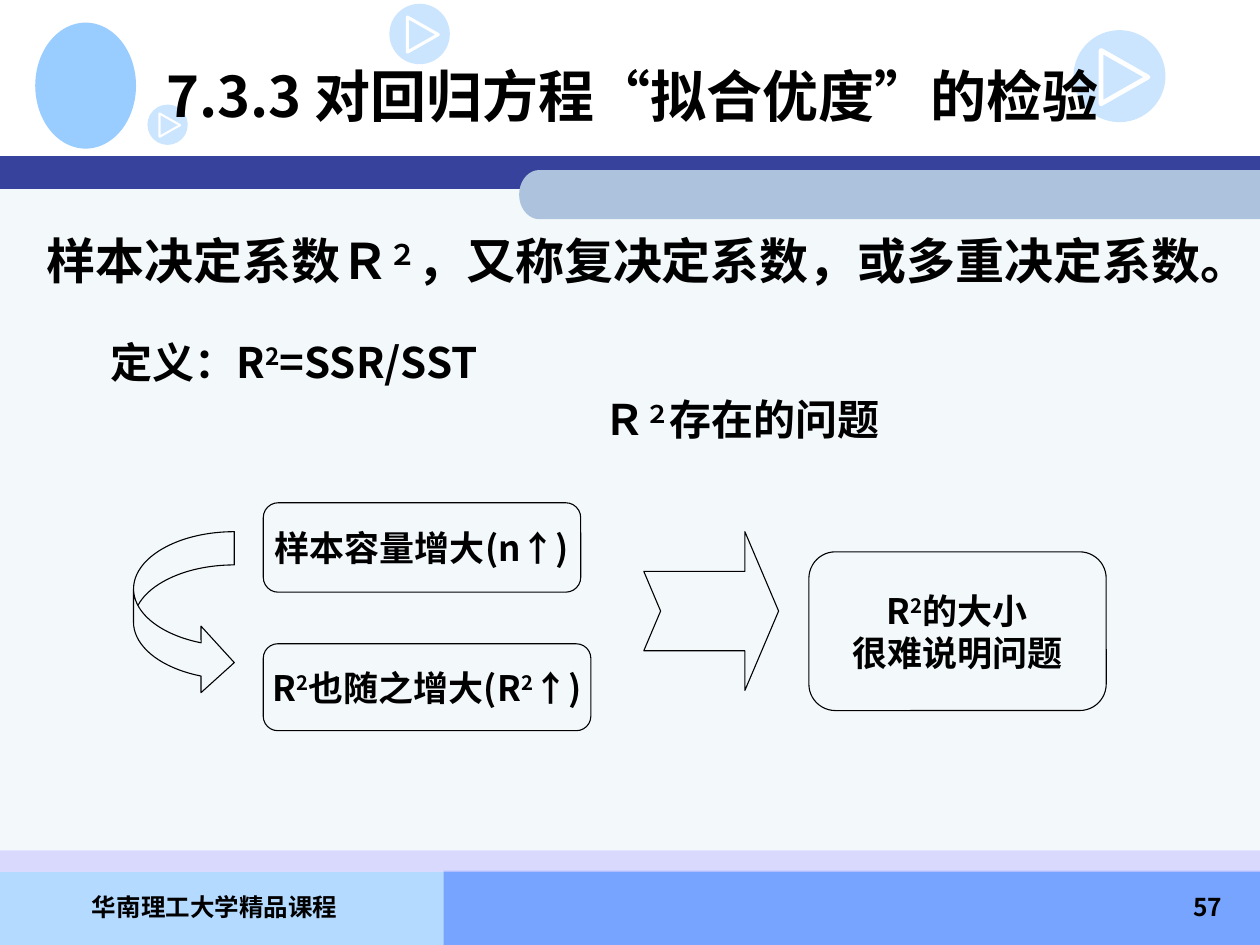
import math

import pptx
import pptx.dml.color
import pptx.enum.shapes
import pptx.enum.text
import pptx.oxml.ns
import pptx.util
from lxml import etree

COLORS = {"text": "000000", "white": "FFFFFF", "panel": "F3F8FB", "bar": "36429B",
          "tab": "ADC3DD", "sky": "99CCFF", "lavender": "CCCCFF",
          "footer_left": "B5DAFF", "footer_right": "77A4FF"}
WIDTH, HEIGHT = pptx.util.Inches(10), pptx.util.Inches(7.5)
FONT, FOOTER_FONT = "Noto Sans CJK SC", "Noto Sans CJK KR"
SHAPE = pptx.enum.shapes.MSO_SHAPE
ALIGN = pptx.enum.text.PP_ALIGN
ANCHOR = pptx.enum.text.MSO_ANCHOR
FIT = pptx.enum.text.MSO_AUTO_SIZE
qn = pptx.oxml.ns.qn


def part(box, x, y, w, h):
    """Return the box at the given percentages of another box."""
    left, top, width, height = box
    return (int(left + width * x / 100), int(top + height * y / 100),
            int(width * w / 100), int(height * h / 100))


def rgb(name):
    """Return a named colour."""
    return pptx.dml.color.RGBColor.from_string(COLORS[name])


def paint(sp, fill=None, line=None, width=0.62, alpha=None):
    """Set the fill and outline of a shape, without a shadow."""
    sp.shadow.inherit = False
    if fill:
        sp.fill.solid()
        sp.fill.fore_color.rgb = rgb(fill)
    else:
        sp.fill.background()
    if alpha:
        color = sp.fill._xPr.find(".//" + qn("a:srgbClr"))
        etree.SubElement(color, qn("a:alpha")).set("val", str(alpha * 1000))
    if line:
        sp.line.color.rgb = rgb(line)
        sp.line.width = pptx.util.Pt(width)
    else:
        sp.line.fill.background()


def add_shape(s, kind, box, adjustments=(), **look):
    """Add a painted preset shape."""
    sp = s.shapes.add_shape(kind, *box)
    for i, value in enumerate(adjustments):
        sp.adjustments[i] = value
    paint(sp, **look)
    return sp


def add_outline(s, points, closed=True, **look):
    """Add a painted freeform through the points."""
    builder = s.shapes.build_freeform(*points[0])
    builder.add_line_segments(points[1:], close=closed)
    sp = builder.convert_to_shape()
    paint(sp, **look)
    return sp


def write(sp, lines, size, align=ALIGN.LEFT, anchor=ANCHOR.MIDDLE, wrap=False,
          font=FONT, fit=FIT.NONE):
    """Write lines of text; text between carets is superscript."""
    tf = sp.text_frame
    tf.auto_size = fit
    tf.word_wrap = wrap
    tf.vertical_anchor = anchor
    for i, line in enumerate(lines):
        p = tf.paragraphs[0] if i == 0 else tf.add_paragraph()
        p.alignment = align
        for j, words in enumerate(line.split("^")):
            r = p.add_run()
            r.text = words
            r.font.size = pptx.util.Pt(size)
            r.font.bold = True
            r.font.color.rgb = rgb("text")
            r.font.name = font
            rpr = r._r.get_or_add_rPr()
            etree.SubElement(rpr, qn("a:ea")).set("typeface", font)
            if j % 2:
                rpr.set("baseline", "30000")


def add_play_icon(s, box, x, y, diameter):
    """Draw a translucent disc holding a play triangle."""
    left, top, size, _ = part(box, x, y, diameter, 0)
    add_shape(s, SHAPE.OVAL, (left, top, size, size), fill="sky", alpha=50)
    corners = [(0.3, 0.22), (0.3, 0.8), (0.81, 0.51)]
    points = [(int(left + size * u), int(top + size * v)) for u, v in corners]
    add_outline(s, points, line="white", width=round(3.7 * size / 914400, 2))


def add_tab(s, box):
    """Draw a bar whose left end is round."""
    left, top, width, height = box
    radius = height * 0.41
    angles = [math.radians(90 + 10 * i) for i in range(19)]
    points = [(int(left + radius * (1 + math.cos(a))),
               int(top + height / 2 * (1 - math.sin(a)))) for a in angles]
    points += [(left + width, top + height), (left + width, top)]
    add_outline(s, points, fill="tab")


def add_header(s, box):
    """Place the bars, emblem, icons and title."""
    add_shape(s, SHAPE.RECTANGLE, part(box, 0, 71.26, 100, 14.94), fill="bar")
    add_tab(s, part(box, 41.2, 77.59, 58.8, 22.41))
    add_shape(s, SHAPE.OVAL, part(box, 2.8, 10.34, 8, 57.47), fill="sky")
    for icon in [(30.9, 1.72, 4.8), (85.2, 13.79, 7.3), (11.7, 47.7, 3.2)]:
        add_play_icon(s, box, *icon)
    title = s.shapes.title
    title.left, title.top, title.width, title.height = part(box, 12.2, 16.09, 85.1, 54.6)
    write(title, ["7.3.3 对回归方程“拟合优度”的检验"], 32, wrap=True)
    title.element.getparent().append(title.element)


def add_body(s, box):
    """Place the panel, the definition and the subheading."""
    add_shape(s, SHAPE.RECTANGLE, box, fill="panel")


def add_statements(s, box):
    """Place the definition and the subheading on the panel."""
    sp = s.shapes.add_textbox(*part(box, 2.7, 6.9, 94.5, 10.34))
    write(sp, ["样本决定系数Ｒ^２^，又称复决定系数，或多重决定系数。"], 28,
          wrap=True, fit=FIT.SHAPE_TO_FIT_TEXT)
    sp = s.shapes.add_textbox(*part(box, 7.8, 22.14, 32, 9.07))
    write(sp, ["定义：R^2^=SSR/SST"], 24, anchor=ANCHOR.TOP, fit=FIT.SHAPE_TO_FIT_TEXT)
    sp = add_shape(s, SHAPE.HORIZONTAL_SCROLL, part(box, 41.3, 26.86, 34.6, 16.15))
    write(sp, ["Ｒ^２^存在的问题"], 24, ALIGN.CENTER)


def add_diagram(s, box):
    """Place the boxes of the argument and the arrows between them."""
    boxes = [((13.34, 0, 32.64, 39.23), ["样本容量增大(n↑)"]),
             ((13.34, 61.88, 33.68, 38.12), ["R^2^也随之增大(R^2^↑)"]),
             ((69.43, 21.55, 30.57, 69.61), ["R^2^的大小", "很难说明问题"])]
    for place, lines in boxes:
        sp = add_shape(s, SHAPE.ROUNDED_RECTANGLE, part(box, *place), [0.167], line="text")
        write(sp, lines, 20, ALIGN.CENTER)
    add_shape(s, SHAPE.CURVED_RIGHT_ARROW, part(box, 0, 12.71, 10.36, 72),
              [0.33, 0.66, 0.33], line="text")
    add_shape(s, SHAPE.NOTCHED_RIGHT_ARROW, part(box, 52.46, 12.71, 13.86, 69.61),
              [0.5, 0.25], line="text")


def add_footer(s, box):
    """Place the footer bars, the course name and the page number."""
    add_shape(s, SHAPE.RECTANGLE, part(box, 0, 22.67, 42.5, 77.33), fill="footer_left")
    add_shape(s, SHAPE.RECTANGLE, part(box, 35.2, 21.33, 64.8, 78.67), fill="footer_right")
    add_shape(s, SHAPE.RECTANGLE, part(box, 0, 0, 100, 22.67), fill="lavender", alpha=69)
    for place, words, align, font in [
            ((1.2, 37.33, 31.7, 62.67), "华南理工大学精品课程", ALIGN.CENTER, FOOTER_FONT),
            ((77.2, 37.33, 20.8, 62.67), "57", ALIGN.RIGHT, FONT)]:
        sp = s.shapes.add_textbox(*part(box, *place))
        write(sp, [words], 14, align, ANCHOR.TOP, True, font)


def main():
    """Build the slide and save it."""
    prs = pptx.Presentation()
    prs.slide_width, prs.slide_height = WIDTH, HEIGHT
    s = prs.slides.add_slide(prs.slide_layouts[5])
    page = (0, 0, WIDTH, HEIGHT)
    body = part(page, 0, 18.67, 100, 73.47)
    add_body(s, body)
    add_header(s, part(page, 0, 0, 100, 23.2))
    add_statements(s, body)
    add_diagram(s, part(page, 10.6, 53.2, 77.2, 24.13))
    add_footer(s, part(page, 0, 90, 100, 10))
    prs.save("out.pptx")


if __name__ == "__main__":
    main()
